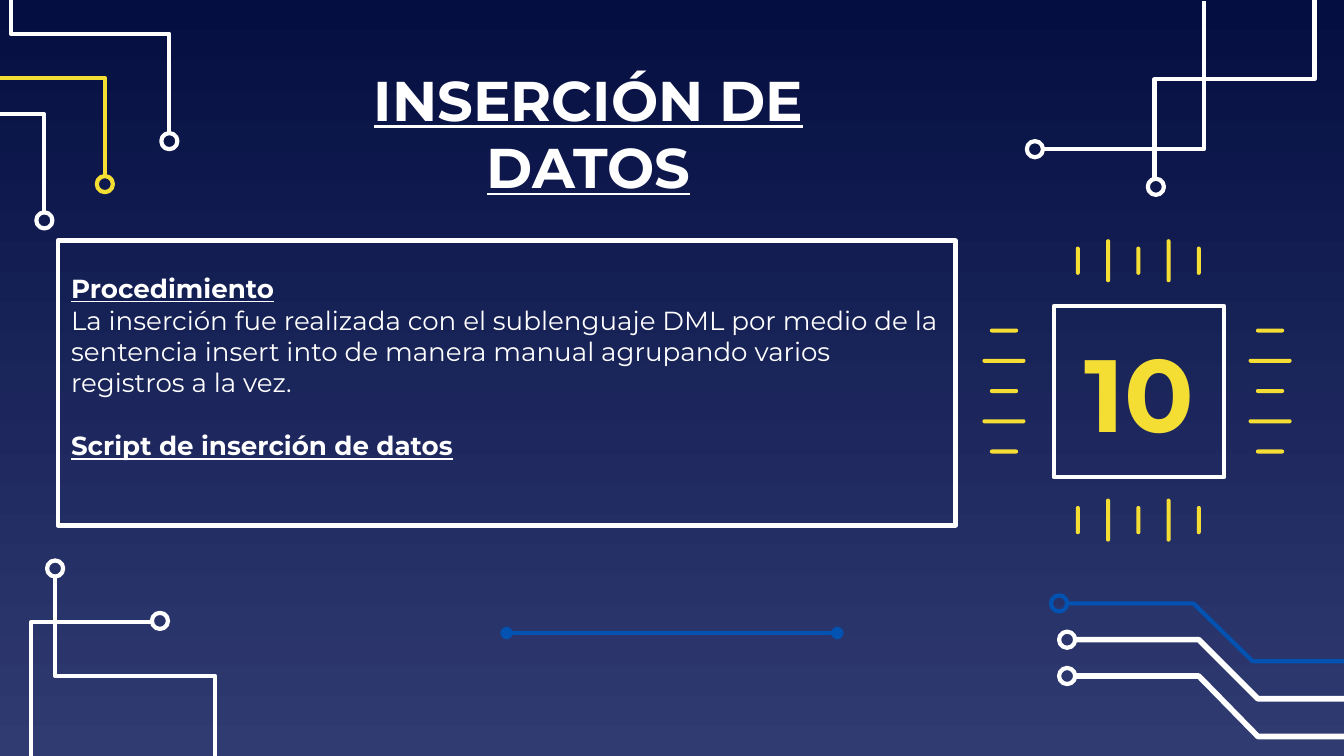
import pptx
import pptx.util
import pptx.dml.color
import pptx.enum.shapes
import pptx.enum.text
import pptx.oxml.ns
from lxml import etree
from pptx.util import Inches

WHITE, YELLOW, BLUE = "FFFFFF", "F5DE34", "0152B1"
FONT = "Montserrat"
SLIDE_W, SLIDE_H = 10, 10 * 9 / 16
RING = 0.12
LINE = 2.25

TITLE = "INSERCIÓN DE DATOS"
NUMBER = "10"
BODY = [  # text, is heading
    ("Procedimiento", True),
    ("La inserción fue realizada con el sublenguaje DML por medio de la sentencia "
     "insert into de manera manual agrupando varios registros a la vez.", False),
    ("Script de inserción de datos", True),
]

# colour, line width, ring centre, points from the ring outwards
TRACES = [
    (BLUE, LINE, (7.88, 4.49), [(7.95, 4.49), (8.88, 4.49), (9.32, 4.92), (SLIDE_W, 4.92)]),
    (WHITE, 3, (7.94, 4.76), [(8, 4.76), (8.92, 4.76), (9.36, 5.2), (SLIDE_W, 5.2)]),
    (WHITE, 3, (7.94, 5.03), [(8, 5.03), (8.92, 5.03), (9.36, 5.48), (SLIDE_W, 5.48)]),
    (WHITE, LINE, (0.41, 4.23), [(0.41, 4.29), (0.41, 5.03), (1.6, 5.03), (1.6, SLIDE_H)]),
    (WHITE, LINE, (1.19, 4.62), [(1.13, 4.63), (0.23, 4.63), (0.23, SLIDE_H)]),
    (WHITE, LINE, (7.7, 1.11), [(7.76, 1.11), (8.96, 1.11), (8.96, 0.01)]),
    (WHITE, LINE, (8.6, 1.39), [(8.59, 1.33), (8.59, 0.59), (9.78, 0.59), (9.78, 0)]),
    (WHITE, LINE, (0.33, 1.64), [(0.33, 1.58), (0.33, 0.85), (0, 0.85)]),
    (YELLOW, LINE, (0.78, 1.37), [(0.78, 1.32), (0.78, 0.58), (0, 0.58)]),
    (WHITE, LINE, (1.26, 1.05), [(1.26, 0.99), (1.26, 0.25), (0.08, 0.25), (0.08, 0)]),
]

# Chip pins: short and long in turn along each side
PIN_LENGTHS = [0.21, 0.32, 0.21, 0.32, 0.21]
PIN_WIDTH = 0.03
PIN_PITCH = 0.9 / 4
PIN_X, PIN_Y = 8.02, 2.46
PIN_ROWS = [1.94, 3.87]
PIN_COLUMNS = [7.47, 9.45]


def rgb(value):
    return pptx.dml.color.RGBColor.from_string(value)


def outline(shape, color, width):
    shape.shadow.inherit = False
    shape.fill.background()
    shape.line.color.rgb = rgb(color)
    shape.line.width = pptx.util.Pt(width)


def add_shape(s, kind, left, top, width, height):
    kind = getattr(pptx.enum.shapes.MSO_SHAPE, kind)
    return s.shapes.add_shape(kind, *map(Inches, (left, top, width, height)))


def add_trace(s, color, width, ring, points):
    points = [(Inches(x), Inches(y)) for x, y in points]
    builder = s.shapes.build_freeform(*points[0])
    builder.add_line_segments(points[1:], close=False)
    outline(builder.convert_to_shape(), color, width)
    x, y = ring
    outline(add_shape(s, "OVAL", x - RING / 2, y - RING / 2, RING, RING), color, LINE)


def add_pin(s, x, y, width, height):
    pin = add_shape(s, "ROUNDED_RECTANGLE", x - width / 2, y - height / 2, width, height)
    pin.adjustments[0] = 0.5
    pin.shadow.inherit = False
    pin.fill.solid()
    pin.fill.fore_color.rgb = rgb(YELLOW)
    pin.line.fill.background()


def add_chip_pins(s):
    for i, length in enumerate(PIN_LENGTHS):
        step = i * PIN_PITCH
        for y in PIN_ROWS:
            add_pin(s, PIN_X + step, y, PIN_WIDTH, length)
        for x in PIN_COLUMNS:
            add_pin(s, x, PIN_Y + step, length, PIN_WIDTH)


def setup_frame(tf):
    tf.word_wrap = True
    tf.auto_size = pptx.enum.text.MSO_AUTO_SIZE.NONE
    tf.vertical_anchor = pptx.enum.text.MSO_ANCHOR.MIDDLE
    tf.margin_left = tf.margin_right = tf.margin_top = tf.margin_bottom = Inches(0.1)


def format_paragraph(p, size, color, bold, underline, align="CENTER"):
    p.alignment = getattr(pptx.enum.text.PP_ALIGN, align)
    for r in p.runs:
        r.font.name = FONT
        r.font.size = pptx.util.Pt(size)
        r.font.bold = bold
        r.font.underline = underline
        r.font.color.rgb = rgb(color)


def add_title(s):
    title = s.shapes.title
    title.left, title.top, title.width, title.height = map(Inches, (2.06, 0.46, 4.64, 1.05))
    tf = title.text_frame
    setup_frame(tf)
    tf.text = TITLE
    format_paragraph(tf.paragraphs[0], 30, WHITE, True, True)


def add_number(s):
    box = add_shape(s, "RECTANGLE", 7.84, 2.28, 1.27, 1.27)
    outline(box, WHITE, LINE)
    setup_frame(box.text_frame)
    box.text_frame.text = NUMBER
    format_paragraph(box.text_frame.paragraphs[0], 55, YELLOW, True, False)


def add_body(s):
    box = add_shape(s, "RECTANGLE", 0.43, 1.79, 6.68, 2.12)
    outline(box, WHITE, LINE)
    tf = box.text_frame
    setup_frame(tf)
    tf.margin_bottom = Inches(0.34)
    for i, (text, heading) in enumerate(BODY):
        p = tf.add_paragraph() if i else tf.paragraphs[0]
        p.text = text
        format_paragraph(p, 14, WHITE, heading, heading, "LEFT")
        if i and heading:
            p.space_before = pptx.util.Pt(17)


def add_divider(s):
    line = s.shapes.add_connector(pptx.enum.shapes.MSO_CONNECTOR.STRAIGHT,
                                  *map(Inches, (3.77, 4.71, 6.23, 4.71)))
    line.line.color.rgb = rgb(BLUE)
    line.line.width = pptx.util.Pt(LINE)
    ln = line.line._get_or_add_ln()
    for end in ("a:headEnd", "a:tailEnd"):
        etree.SubElement(ln, pptx.oxml.ns.qn(end), type="oval")
    etree.SubElement(line._element.spPr, pptx.oxml.ns.qn("a:effectLst"))


def main():
    prs = pptx.Presentation()
    prs.slide_width, prs.slide_height = Inches(SLIDE_W), Inches(SLIDE_H)
    s = prs.slides.add_slide(prs.slide_layouts[5])
    fill = s.background.fill
    fill.gradient()
    fill.gradient_angle = 270
    for stop, color in zip(fill.gradient_stops, ("040E41", "303B72")):
        stop.color.rgb = rgb(color)

    for trace in TRACES:
        add_trace(s, *trace)
    add_title(s)
    add_divider(s)
    add_number(s)
    add_chip_pins(s)
    add_body(s)
    prs.save("out.pptx")


if __name__ == "__main__":
    main()
